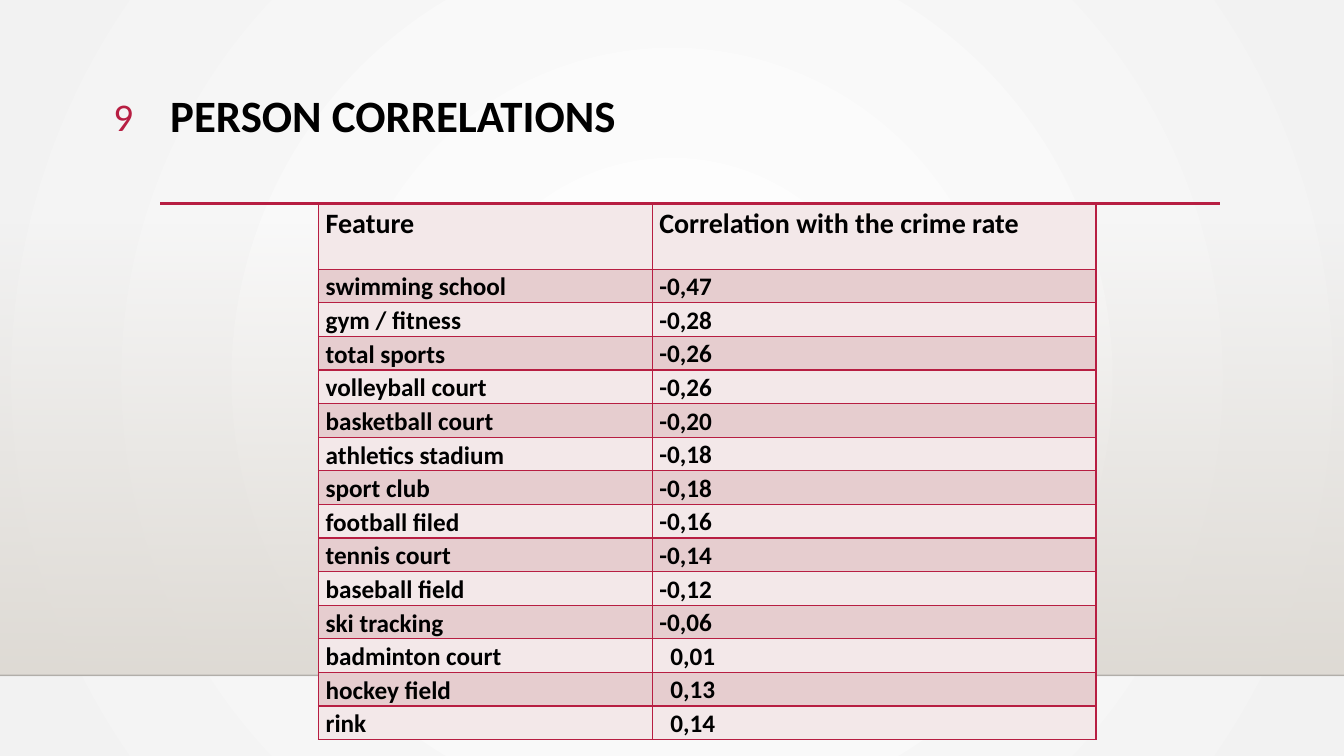
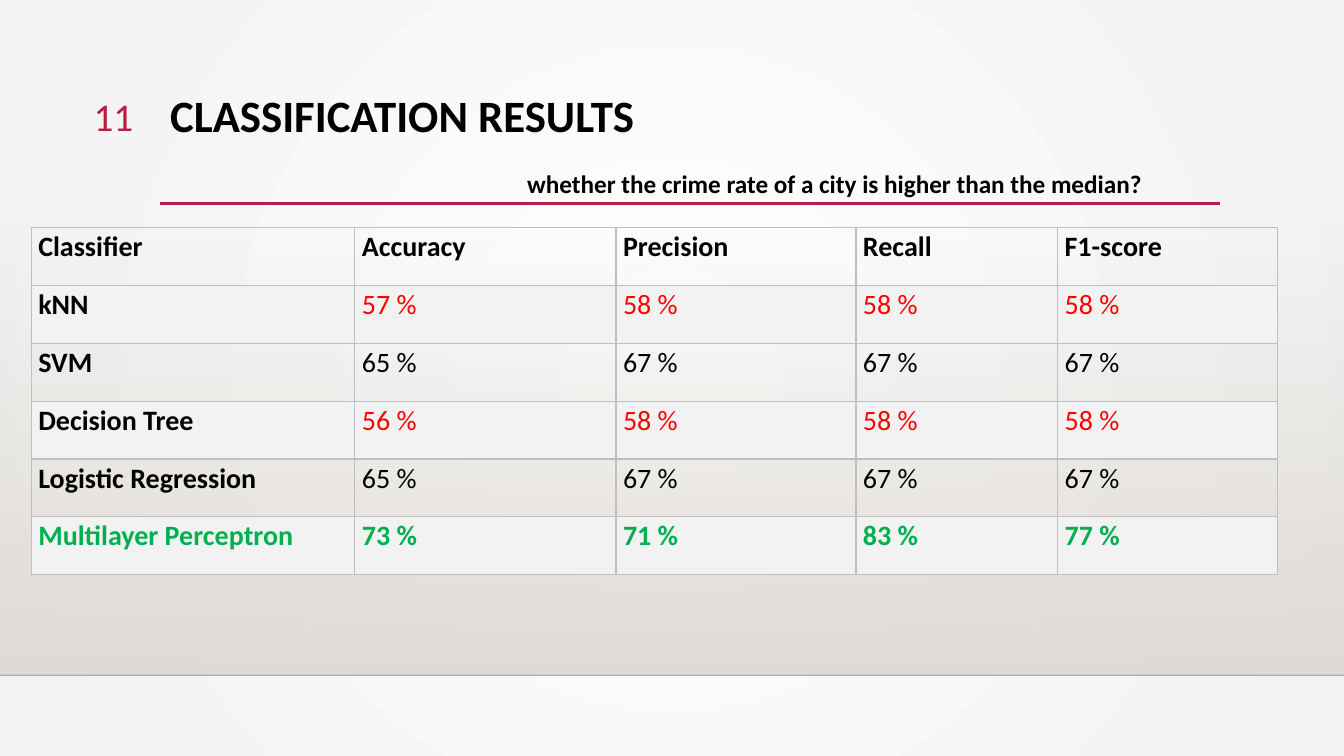
from dataclasses import dataclass

from lxml import etree
from pptx import Presentation
from pptx.dml.color import RGBColor
from pptx.enum.shapes import MSO_CONNECTOR, MSO_SHAPE
from pptx.enum.text import MSO_ANCHOR, PP_ALIGN
from pptx.oxml.ns import qn
from pptx.util import Inches, Pt

RECTANGLE = MSO_SHAPE.RECTANGLE
STRAIGHT = MSO_CONNECTOR.STRAIGHT
TOP, MIDDLE, BOTTOM = MSO_ANCHOR.TOP, MSO_ANCHOR.MIDDLE, MSO_ANCHOR.BOTTOM
LEFT, RIGHT = PP_ALIGN.LEFT, PP_ALIGN.RIGHT


@dataclass(frozen=True)
class Theme:
    """Colours, font and type sizes shared by the slides."""
    font: str = "Calibri"
    ink: str = "000000"
    accent: str = "B71E42"
    white: str = "FFFFFF"
    pale_grey: str = "F2F2F2"
    floor: str = "DFDBD5"
    floor_edge: str = "000001"
    grid: str = "BFBFBF"
    rose_light: str = "F3E8E9"
    rose_dark: str = "E6CDCF"
    weak: str = "FF0000"
    best: str = "00B050"
    title_size: int = 32
    number_size: int = 28
    header_size: int = 20
    body_size: int = 18


THEME = Theme()
SLIDE_WIDTH, SLIDE_HEIGHT = 13.33, 7.5
FLOOR_TOP, FLOOR_BOTTOM = 2.21, 6.7
CELL_INSET = 0.07
POSITIVE_INSET = 0.18

CORRELATIONS = [
    ("swimming school", "-0,47"),
    ("gym / fitness", "-0,28"),
    ("total sports", "-0,26"),
    ("volleyball court", "-0,26"),
    ("basketball court", "-0,20"),
    ("athletics stadium", "-0,18"),
    ("sport club", "-0,18"),
    ("football filed", "-0,16"),
    ("tennis court", "-0,14"),
    ("baseball field", "-0,12"),
    ("ski tracking", "-0,06"),
    ("badminton court", "0,01"),
    ("hockey field", "0,13"),
    ("rink", "0,14"),
]
SCORES = [
    ("kNN", "57 %", "58 %", "58 %", "58 %"),
    ("SVM", "65 %", "67 %", "67 %", "67 %"),
    ("Decision Tree", "56 %", "58 %", "58 %", "58 %"),
    ("Logistic Regression", "65 %", "67 %", "67 %", "67 %"),
    ("Multilayer Perceptron", "73 %", "71 %", "83 %", "77 %"),
]
SCORE_COLORS = {"kNN": THEME.weak, "Decision Tree": THEME.weak,
                "Multilayer Perceptron": THEME.best}


def rgb(color):
    """Turn a hex string into a colour."""
    return RGBColor.from_string(color)


def set_alpha(color_element, percent):
    """Make a colour element partly transparent."""
    etree.SubElement(color_element, qn("a:alpha"), val=str(percent * 1000))


def set_gradient(fill, colors):
    """Give a fill a two-stop gradient."""
    fill.gradient()
    for stop, color in zip(fill.gradient_stops, colors):
        stop.color.rgb = rgb(color)


def set_background(master):
    """Paint a circular gradient behind every slide."""
    set_gradient(master.background.fill, (THEME.white, THEME.pale_grey))
    gradient = master.element.find(".//" + qn("a:gradFill"))
    gradient.remove(gradient.find(qn("a:lin")))
    circle = etree.SubElement(gradient, qn("a:path"), {"path": "circle"})
    sides = dict.fromkeys("ltrb", "50000")
    etree.SubElement(circle, qn("a:fillToRect"), sides)


def write(frame, text, size, color=THEME.ink, bold=False, align=LEFT,
          spacing=1.0):
    """Set and format one paragraph of text."""
    frame.text = text
    paragraph = frame.paragraphs[0]
    paragraph.alignment = align
    paragraph.line_spacing = spacing
    for run in paragraph.runs:
        run.font.name = THEME.font
        run.font.size = Pt(size)
        run.font.bold = bold
        run.font.color.rgb = rgb(color)


def add_label(slide, box, text, size, **style):
    """Add a wrapping, top-anchored text box."""
    frame = slide.shapes.add_textbox(*map(Inches, box)).text_frame
    frame.word_wrap = True
    frame.vertical_anchor = TOP
    write(frame, text, size, **style)


def add_rule(slide, left, right, y, color, width, alpha=100):
    """Draw a horizontal rule."""
    rule = slide.shapes.add_connector(
        STRAIGHT, Inches(left), Inches(y), Inches(right), Inches(y))
    rule.line.color.rgb = rgb(color)
    rule.line.width = Pt(width)
    properties = rule.element.spPr
    if alpha < 100:
        set_alpha(properties.find(".//" + qn("a:srgbClr")), alpha)
    etree.SubElement(properties, qn("a:effectLst"))


def add_floor(slide):
    """Add the band that fades in towards the floor line."""
    floor = slide.shapes.add_shape(
        RECTANGLE, 0, Inches(FLOOR_TOP), Inches(SLIDE_WIDTH),
        Inches(FLOOR_BOTTOM - FLOOR_TOP))
    floor.shadow.inherit = False
    floor.line.fill.background()
    set_gradient(floor.fill, (THEME.floor, THEME.floor))
    floor.fill.gradient_angle = 270
    set_alpha(floor.element.spPr.find(".//" + qn("a:srgbClr")), 0)
    add_rule(slide, 0, SLIDE_WIDTH, FLOOR_BOTTOM, THEME.floor_edge, 1, 20)


def add_framed_slide(deck, number, title):
    """Add a slide with floor, title rule, title and number."""
    slide = deck.slides.add_slide(deck.slide_layouts[6])
    add_floor(slide)
    add_rule(slide, 1.59, 12.1, 2.02, THEME.accent, 2.5)
    add_label(slide, (1.59, 0.88, 10.5, 1.15), title, THEME.title_size,
              bold=True, spacing=0.9)
    add_label(slide, (0.53, 0.87, 0.89, 0.55), number, THEME.number_size,
              color=THEME.accent, align=RIGHT)
    return slide


def add_grid(slide, left, top, widths, heights):
    """Add a table with the given column widths and row heights."""
    table = slide.shapes.add_table(
        len(heights), len(widths), Inches(left), Inches(top),
        Inches(sum(widths)), Inches(sum(heights))).table
    table.horz_banding = False
    for column, width in zip(table.columns, widths):
        column.width = Inches(width)
    for row, height in zip(table.rows, heights):
        row.height = Inches(height)
    return table


def set_borders(cell, color):
    """Draw a one-point border on all sides of a cell."""
    properties = cell._tc.get_or_add_tcPr()
    for side in ("a:lnL", "a:lnR", "a:lnT", "a:lnB"):
        border = etree.SubElement(properties, qn(side), w=str(Pt(1)))
        solid = etree.SubElement(border, qn("a:solidFill"))
        etree.SubElement(solid, qn("a:srgbClr"), val=color)


def fill_cell(cell, text, size, border, fill=None, anchor=TOP,
              inset=CELL_INSET, **style):
    """Write and decorate one table cell."""
    set_borders(cell, border)
    if fill:
        cell.fill.solid()
        cell.fill.fore_color.rgb = rgb(fill)
    else:
        cell.fill.background()
    cell.margin_left, cell.margin_right = Inches(inset), Inches(CELL_INSET)
    cell.margin_top = cell.margin_bottom = 0
    cell.vertical_anchor = anchor
    write(cell.text_frame, text, size, spacing=1.07, **style)


def add_correlation_table(slide):
    """Add the table of features and their correlations."""
    header_height, total_height = 0.64, 5.31
    row_height = (total_height - header_height) / len(CORRELATIONS)
    table = add_grid(slide, 3.16, 2.03, (3.31, 4.4),
                     [header_height] + [row_height] * len(CORRELATIONS))
    headings = ("Feature", "Correlation with the crime rate")
    for column, heading in enumerate(headings):
        fill_cell(table.cell(0, column), heading, THEME.header_size,
                  THEME.accent, THEME.rose_light, bold=True)
    for row, (feature, value) in enumerate(CORRELATIONS, 1):
        fill = THEME.rose_dark if row % 2 else THEME.rose_light
        inset = CELL_INSET if value.startswith("-") else POSITIVE_INSET
        fill_cell(table.cell(row, 0), feature, THEME.body_size, THEME.accent,
                  fill, BOTTOM, bold=True)
        fill_cell(table.cell(row, 1), value, THEME.body_size, THEME.accent,
                  fill, MIDDLE, inset, bold=True)


def add_score_table(slide):
    """Add the table of classifier scores."""
    headings = ("Classifier", "Accuracy", "Precision", "Recall", "F1-score")
    rows = [headings] + SCORES
    table = add_grid(slide, 0.31, 2.26, (3.21, 2.59, 2.38, 2, 2.18),
                     [3.44 / len(rows)] * len(rows))
    for row, entries in enumerate(rows):
        score_color = SCORE_COLORS.get(entries[0], THEME.ink)
        is_best = score_color == THEME.best
        for column, entry in enumerate(entries):
            is_name = column == 0
            color = THEME.ink if is_name and not is_best else score_color
            fill_cell(table.cell(row, column), entry, THEME.header_size,
                      THEME.grid, THEME.pale_grey if row % 2 else None,
                      color=color, bold=row == 0 or is_name or is_best)


def main():
    """Build and save the presentation."""
    deck = Presentation()
    deck.slide_width = Inches(SLIDE_WIDTH)
    deck.slide_height = Inches(SLIDE_HEIGHT)
    set_background(deck.slide_master)

    add_correlation_table(add_framed_slide(deck, "9", "PERSON CORRELATIONS"))

    results = add_framed_slide(deck, "11", "CLASSIFICATION RESULTS")
    add_score_table(results)
    add_label(results, (5.13, 1.62, 8, 0.4),
              "whether the crime rate of a city is higher than the median?",
              THEME.body_size, bold=True)
    deck.save("out.pptx")


if __name__ == "__main__":
    main()
